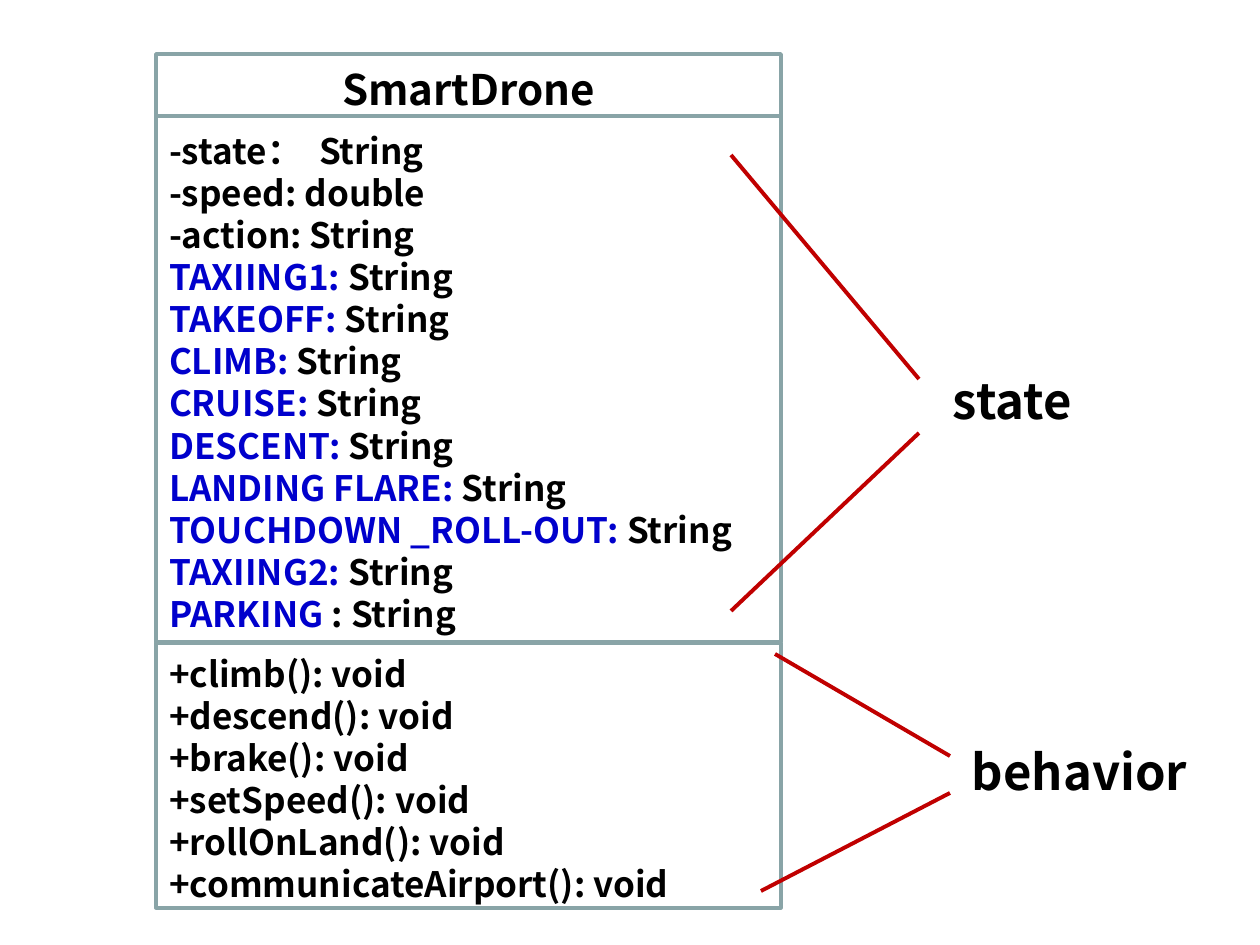
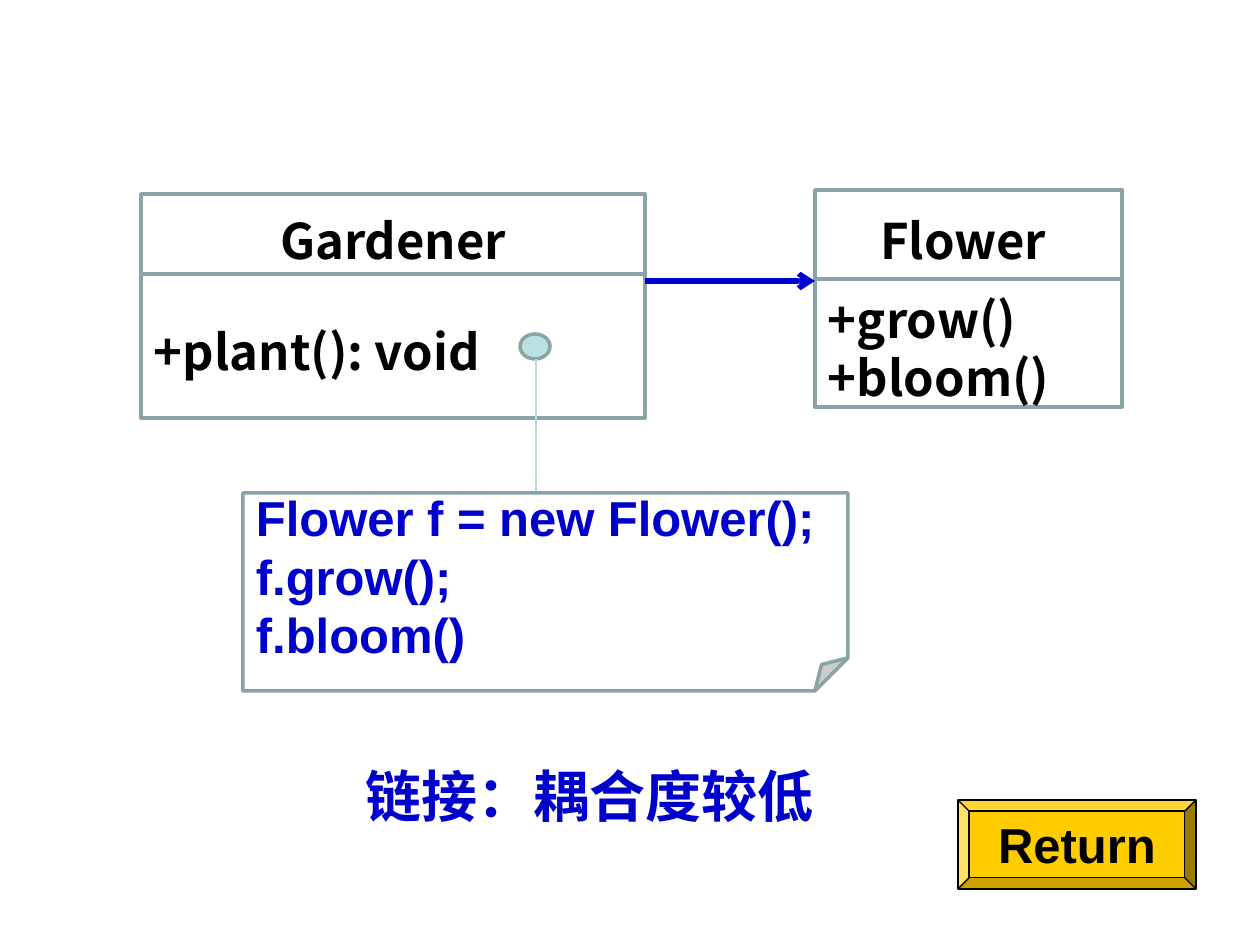
from lxml import etree
from pptx import Presentation
from pptx import util as u
from pptx.dml.color import RGBColor
from pptx.enum import shapes, text
from pptx.oxml.ns import qn

PX_PER_INCH = 126
COLORS = {"white": "FFFFFF", "black": "000000", "blue": "0000CC", "red": "C00000",
          "frame": "89A4A7", "pale": "BBE0E3", "thread": "B6DCDF", "gold": "FFCC00"}
SANS, CJK = "Arial", "Noto Sans CJK SC"
PAD_X, PAD_Y = 13, 6
LINE_FACTOR = 1.2

# A paragraph is a list of (text, colour) runs.
CONSTANTS = ["TAXIING1", "TAKEOFF", "CLIMB", "CRUISE", "DESCENT", "LANDING FLARE",
             "TOUCHDOWN _ROLL-OUT", "TAXIING2"]
FIELDS = [[(field, "black")] for field in
          ("-state：\tString", "-speed: double", "-action: String")]
FIELDS += [[(name + ": ", "blue"), ("String", "black")] for name in CONSTANTS]
FIELDS += [[("PARKING ", "blue"), (": String", "black")]]
FIELD_TAB = 150
METHODS = ["+climb(): void", "+descend(): void", "+brake(): void", "+setSpeed(): void",
           "+rollOnLand(): void", "+communicateAirport(): void"]

# Class diagram: left, width, then (top, height, size, centred, paragraphs) per part
DRONE = (156, 625, [(54, 62, 24, True, ["SmartDrone"]),
                    (116, 526, 20, False, FIELDS),
                    (643, 265, 20, False, METHODS)])
GARDENER = (141, 504, [(194, 81, 28, True, ["Gardener"]),
                       (274, 144, 28, False, ["+plant(): void"])])
FLOWER = (815, 307, [(190, 89, 28, True, ["Flower "]),
                     (279, 128, 28, False, ["+grow()", "+bloom()"])])

# Label, its box, and the two lines that reach out to it
GROUPS = [("state", (940, 360, 149, 131),
           [(731, 155, 919, 379), (731, 611, 919, 433)]),
          ("behavior", (959, 731, 256, 72),
           [(775, 654, 950, 756), (761, 891, 950, 793)])]

NOTE = ["Flower f = new Flower();", "f.grow();", "f.bloom()"]
CAPTION = "链接：耦合度较低"


def px(n):
    return u.Emu(round(n * 914400 / PX_PER_INCH))


def rgb(name):
    return RGBColor.from_string(COLORS[name])


def write(sp, paragraphs, size, color="black", font=CJK, centred=False,
          anchor=text.MSO_ANCHOR.MIDDLE, wrap=True):
    """Fill a shape with bold paragraphs, given as strings or as lists of runs."""
    tf = sp.text_frame
    tf.word_wrap, tf.vertical_anchor = wrap, anchor
    # The CJK font has a deep descent, so its lines are moved down a little
    drop = round(size * 0.17) if font == CJK else 0
    tf.margin_left = tf.margin_right = px(PAD_X)
    tf.margin_top, tf.margin_bottom = px(PAD_Y + drop), px(PAD_Y - drop)
    for i, runs in enumerate(paragraphs):
        p = tf.add_paragraph() if i else tf.paragraphs[0]
        p.alignment = text.PP_ALIGN.CENTER if centred else text.PP_ALIGN.LEFT
        p.line_spacing = u.Pt(size * LINE_FACTOR)
        runs = [(runs, color)] if isinstance(runs, str) else runs
        if "\t" in runs[0][0]:
            tabs = etree.SubElement(p._p.get_or_add_pPr(), qn("a:tabLst"))
            etree.SubElement(tabs, qn("a:tab"), pos=str(px(FIELD_TAB)), algn="l")
        for words, run_color in runs:
            r = p.add_run()
            r.text = words
            r.font.size, r.font.bold, r.font.name = u.Pt(size), True, font
            r.font.color.rgb = rgb(run_color)
            etree.SubElement(r._r.get_or_add_rPr(), qn("a:ea"), typeface=font)


def add_shape(slide, kind, box, fill="white", line="frame", width=2):
    sp = slide.shapes.add_shape(kind, *map(px, box))
    sp.shadow.inherit = False
    sp.fill.solid()
    sp.fill.fore_color.rgb = rgb(fill)
    sp.line.color.rgb = rgb(line)
    sp.line.width = u.Pt(width)
    return sp


def add_line(slide, ends, color, width, arrow=False):
    cx = slide.shapes.add_connector(shapes.MSO_CONNECTOR.STRAIGHT, *map(px, ends))
    cx.line.color.rgb = rgb(color)
    cx.line.width = u.Pt(width)
    if arrow:
        etree.SubElement(cx.line._get_or_add_ln(), qn("a:tailEnd"), type="arrow")
    etree.SubElement(cx._element.spPr, qn("a:effectLst"))


def add_label(slide, box, words, size, **style):
    sp = slide.shapes.add_textbox(*map(px, box))
    write(sp, [words], size, anchor=text.MSO_ANCHOR.TOP, **style)


def add_class(slide, left, width, parts):
    for top, height, size, centred, paragraphs in parts:
        sp = add_shape(slide, shapes.MSO_SHAPE.RECTANGLE, (left, top, width, height))
        write(sp, paragraphs, size, centred=centred)


def build_drone(slide):
    add_class(slide, *DRONE)
    for label, box, lines in GROUPS:
        for ends in lines:
            add_line(slide, ends, "red", 2.25)
        add_label(slide, box, label, 28)


def build_gardener(slide):
    add_class(slide, *GARDENER)
    add_class(slide, *FLOWER)
    add_line(slide, (645, 281, 815, 281), "blue", 3, arrow=True)

    add_shape(slide, shapes.MSO_SHAPE.OVAL, (520, 334, 30, 25), "pale")
    add_line(slide, (536, 359, 536, 493), "thread", 0.75)
    note = add_shape(slide, shapes.MSO_SHAPE.FOLDED_CORNER, (243, 493, 605, 198))
    write(note, NOTE, 28, "blue", SANS)

    add_label(slide, (302, 750, 576, 81), CAPTION, 32, color="blue", centred=True)
    button = add_shape(slide, shapes.MSO_SHAPE.BEVEL, (958, 800, 238, 89),
                       "gold", "black", 0.75)
    write(button, ["Return"], 28, font=SANS, centred=True, wrap=False)


def main():
    prs = Presentation()
    prs.slide_width, prs.slide_height = u.Inches(10), u.Inches(7.5)
    for build in (build_drone, build_gardener):
        build(prs.slides.add_slide(prs.slide_layouts[6]))
    prs.save("out.pptx")


if __name__ == "__main__":
    main()
